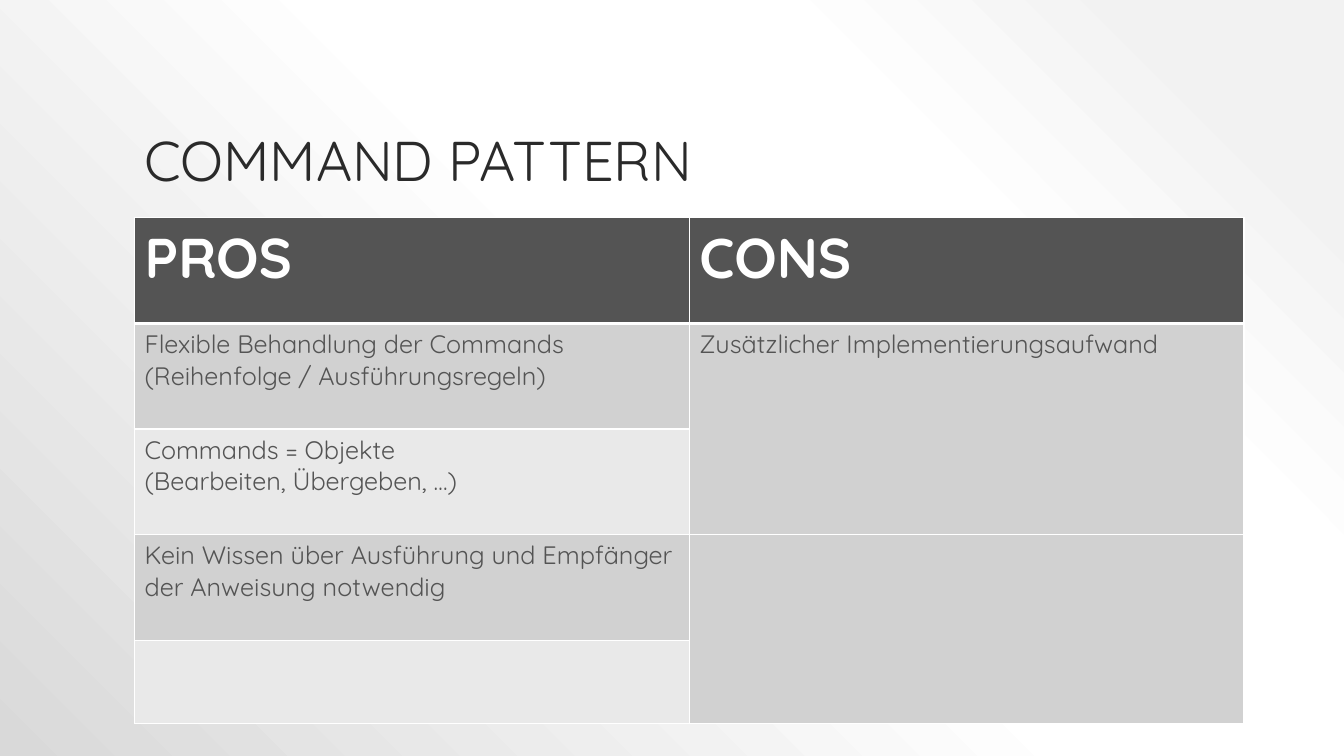
from dataclasses import dataclass

from pptx import Presentation
from pptx.dml.color import RGBColor as Rgb
from pptx.enum.text import MSO_ANCHOR as Anchor, PP_ALIGN as Align
from pptx.oxml import parse_xml
from pptx.oxml.ns import nsdecls, qn
from pptx.util import Cm, Pt


@dataclass(frozen=True)
class Theme:
    font: str = "Quicksand"
    title: str = "2A2A2A"
    dark: str = "545454"
    light: str = "FFFFFF"
    bands: tuple = ("D1D1D1", "E9E9E9")
    backdrop: tuple = ((10, "F2F2F2"), (28, "FFFFFF"), (48, "FFFFFF"), (100, "D9D9D9"))
    large: int = 40
    body: int = 18
    thin: int = 1
    thick: int = 3


THEME = Theme()
ROWS = (
    ("PROS", "CONS"),
    ("Flexible Behandlung der Commands\n(Reihenfolge / Ausführungsregeln)",
     "Zusätzlicher Implementierungsaufwand"),
    ("Commands = Objekte \n(Bearbeiten, Übergeben, …)", ""),
    ("Kein Wissen über Ausführung und Empfänger der Anweisung notwendig", ""),
    ("", ""),
)
ROW_HEIGHTS = (2.66, 2.66, 2.66, 2.66, 2.1)
COLUMN_WIDTH = 13.98
CONS_MERGES = ((1, 2), (3, 4))


def paint_background(page):
    page.background.fill.gradient()
    stops = "".join(
        f'<a:gs pos="{position * 1000}"><a:srgbClr val="{color}"/></a:gs>'
        for position, color in THEME.backdrop
    )
    gradient = parse_xml(
        f'<a:gradFill {nsdecls("a")} rotWithShape="1"><a:gsLst>{stops}</a:gsLst>'
        '<a:path path="circle"><a:fillToRect l="100000" b="100000"/></a:path>'
        "</a:gradFill>"
    )
    plain = next(page.element.iter(qn("a:gradFill")))
    plain.getparent().replace(plain, gradient)


def format_text(frame, size, color, bold=False):
    for para in frame.paragraphs:
        para.font.size = Pt(size)
        for span in para.runs:
            span.font.name = THEME.font
            span.font.size = Pt(size)
            span.font.bold = bold
            span.font.color.rgb = Rgb.from_string(color)


def add_title(page, text):
    box = page.shapes.title
    box.left, box.top, box.width, box.height = Cm(3.38), Cm(1.32), Cm(27.1), Cm(3.68)
    frame = box.text_frame
    frame.text = text
    frame.word_wrap = True
    frame.vertical_anchor = Anchor.BOTTOM
    frame.paragraphs[0].alignment = Align.LEFT
    frame.paragraphs[0].line_spacing = 0.9
    format_text(frame, THEME.large, THEME.title)


def set_borders(cell, top, bottom):
    widths = {"lnL": THEME.thin, "lnR": THEME.thin, "lnT": top, "lnB": bottom}
    properties = cell._tc.get_or_add_tcPr()
    for index, (side, width) in enumerate(widths.items()):
        line = parse_xml(
            f'<a:{side} {nsdecls("a")} w="{Pt(width)}"><a:solidFill>'
            f'<a:srgbClr val="{THEME.light}"/></a:solidFill></a:{side}>'
        )
        properties.insert(index, line)


def format_cell(cell, row, column, text):
    header = row == 0
    band = 0 if column == 1 else (row - 1) % 2
    cell.fill.solid()
    cell.fill.fore_color.rgb = Rgb.from_string(THEME.dark if header else THEME.bands[band])
    set_borders(
        cell,
        THEME.thick if row == 1 else THEME.thin,
        THEME.thick if header else THEME.thin,
    )
    cell.text_frame.text = text
    if header:
        format_text(cell.text_frame, THEME.large, THEME.light, bold=True)
    else:
        format_text(cell.text_frame, THEME.body, THEME.dark)


def add_comparison(page):
    table = page.shapes.add_table(
        len(ROWS), 2, Cm(3.39), Cm(5.49), Cm(2 * COLUMN_WIDTH), Cm(sum(ROW_HEIGHTS))
    ).table
    for column in table.columns:
        column.width = Cm(COLUMN_WIDTH)
    for row, (texts, height) in enumerate(zip(ROWS, ROW_HEIGHTS)):
        table.rows[row].height = Cm(height)
        for column, text in enumerate(texts):
            format_cell(table.cell(row, column), row, column, text)
    for first, last in CONS_MERGES:
        table.cell(first, 1).merge(table.cell(last, 1))


def main():
    deck = Presentation()
    deck.slide_width, deck.slide_height = Cm(33.87), Cm(19.05)
    page = deck.slides.add_slide(deck.slide_layouts.get_by_name("Title Only"))
    paint_background(page)
    add_title(page, "COMMAND PATTERN")
    add_comparison(page)
    deck.save("out.pptx")


main()
